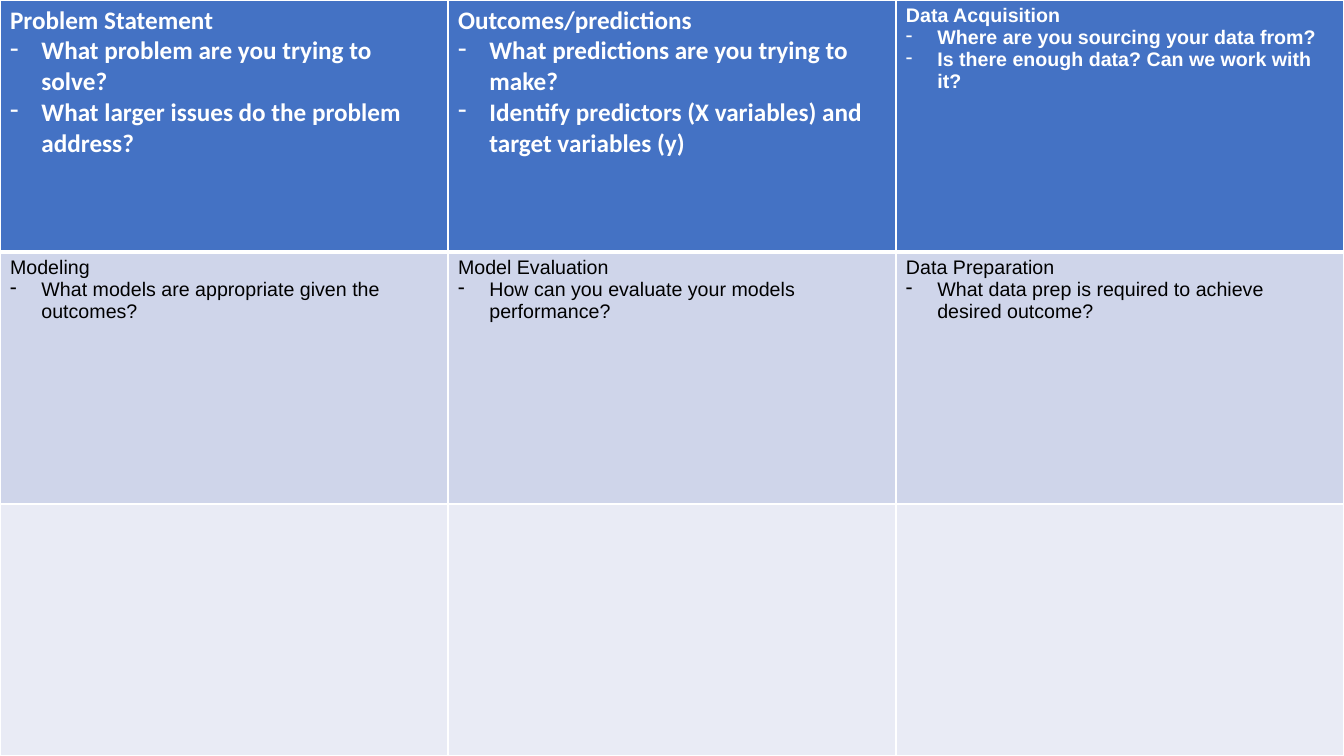
from dataclasses import dataclass

from lxml import etree
from pptx import Presentation
from pptx.dml.color import RGBColor
from pptx.oxml.ns import qn
from pptx.util import Cm, Pt

COLORS = {
    "white": "FFFFFF",
    "black": "000000",
    "gray": "B9B9B9",
    "header": "4472C4",
    "band": "CFD5EA",
    "light": "E9EBF5",
}
COLUMN_WIDTH = Cm(11.29)
ROW_HEIGHT = Cm(6.35)
BULLET_INDENT = Cm(0.79)


@dataclass(frozen=True)
class Topic:
    heading: str
    questions: tuple[str, ...]
    font_name: str = "Arial"
    font_size: int = 14


@dataclass(frozen=True)
class Row:
    fill: str
    text_color: str
    bold: bool
    top_border: float
    bottom_border: float
    topics: tuple[Topic, ...] = ()


ROWS = (
    Row("header", "white", True, 1, 3, (
        Topic("Problem Statement", (
            "What problem are you trying to solve?",
            "What larger issues do the problem address?",
        ), "Calibri", 18),
        Topic("Outcomes/predictions", (
            "What predictions are you trying to make?",
            "Identify predictors (X variables) and target variables (y)",
        ), "Calibri", 18),
        Topic("Data Acquisition", (
            "Where are you sourcing your data from?",
            "Is there enough data? Can we work with it?",
        )),
    )),
    Row("band", "black", False, 3, 1, (
        Topic("Modeling", ("What models are appropriate given the outcomes?",)),
        Topic("Model Evaluation", ("How can you evaluate your models performance?",)),
        Topic("Data Preparation", ("What data prep is required to achieve desired outcome?",)),
    )),
    Row("light", "black", False, 1, 1),
)
COLUMN_COUNT = max(len(row.topics) for row in ROWS)


def rgb(name: str) -> RGBColor:
    return RGBColor.from_string(COLORS[name])


def set_background(slide) -> None:
    fill = slide.background.fill
    fill.gradient()
    fill.gradient_angle = 90
    for stop, position, color in zip(fill.gradient_stops, (0.77, 1), ("white", "gray")):
        stop.position = position
        stop.color.rgb = rgb(color)


def add_borders(cell, row: Row) -> None:
    properties = cell._tc.get_or_add_tcPr()
    widths = {"lnL": 1, "lnR": 1, "lnT": row.top_border, "lnB": row.bottom_border}
    for tag, width in widths.items():
        line = etree.SubElement(properties, qn(f"a:{tag}"), w=str(Pt(width)))
        solid = etree.SubElement(line, qn("a:solidFill"))
        etree.SubElement(solid, qn("a:srgbClr"), val=COLORS["white"])


def add_bullet(paragraph) -> None:
    properties = paragraph._p.get_or_add_pPr()
    properties.set("marL", str(BULLET_INDENT))
    properties.set("indent", str(-BULLET_INDENT))
    etree.SubElement(properties, qn("a:buChar"), char="-")


def write_topic(cell, topic: Topic, row: Row) -> None:
    text_frame = cell.text_frame
    for index, text in enumerate((topic.heading, *topic.questions)):
        paragraph = text_frame.add_paragraph() if index else text_frame.paragraphs[0]
        if index:
            add_bullet(paragraph)
        run = paragraph.add_run()
        run.text = text
        run.font.name = topic.font_name
        run.font.size = Pt(topic.font_size)
        run.font.bold = row.bold
        run.font.color.rgb = rgb(row.text_color)


def add_canvas(slide) -> None:
    table = slide.shapes.add_table(
        len(ROWS), COLUMN_COUNT, 0, 0, COLUMN_WIDTH * COLUMN_COUNT, ROW_HEIGHT * len(ROWS)
    ).table
    for column in table.columns:
        column.width = COLUMN_WIDTH
    for table_row, row in zip(table.rows, ROWS):
        table_row.height = ROW_HEIGHT
        for cell in table_row.cells:
            add_borders(cell, row)
            cell.fill.solid()
            cell.fill.fore_color.rgb = rgb(row.fill)
        for cell, topic in zip(table_row.cells, row.topics):
            write_topic(cell, topic, row)


def main() -> None:
    presentation = Presentation()
    presentation.slide_width = COLUMN_WIDTH * COLUMN_COUNT
    presentation.slide_height = ROW_HEIGHT * len(ROWS)
    slide = presentation.slides.add_slide(presentation.slide_layouts[6])
    set_background(slide)
    add_canvas(slide)
    presentation.save("out.pptx")


if __name__ == "__main__":
    main()
